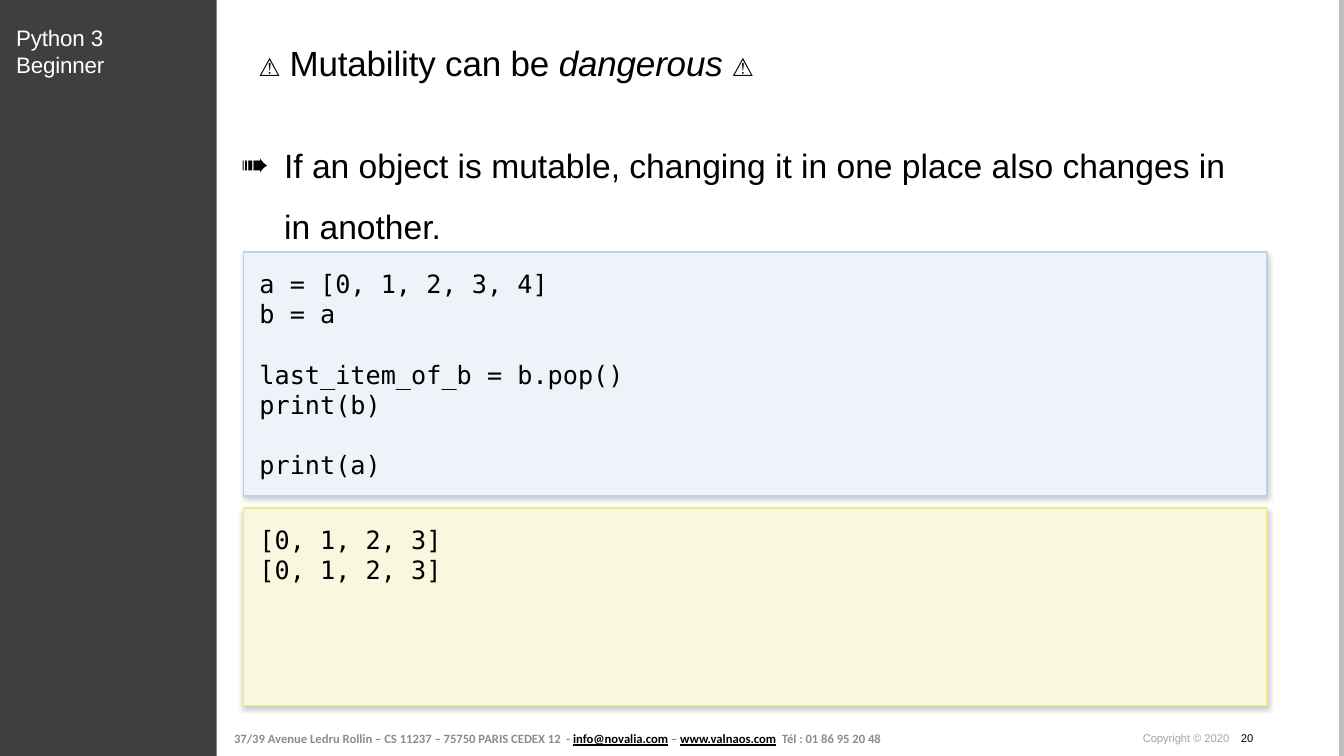
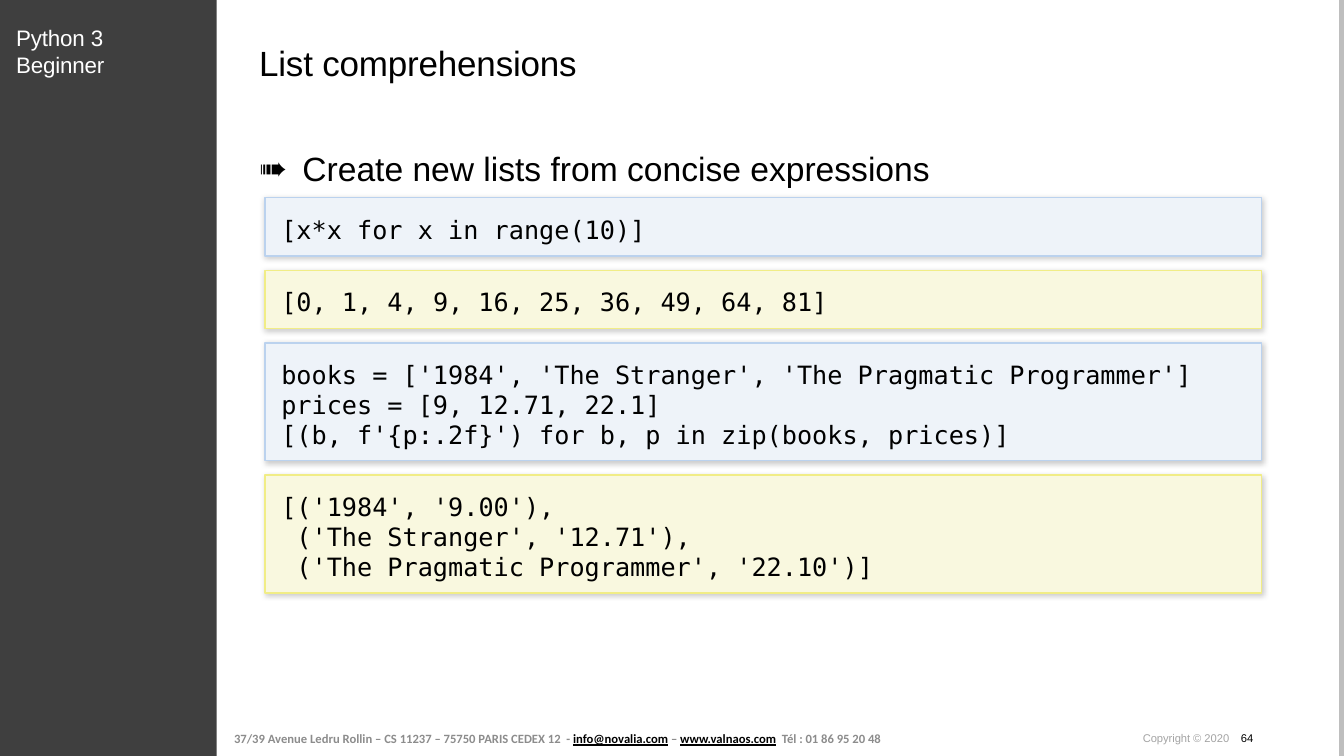
from dataclasses import dataclass

from lxml import etree
from pptx import Presentation
from pptx.dml.color import RGBColor
from pptx.enum.shapes import MSO_CONNECTOR, MSO_SHAPE
from pptx.enum.text import MSO_ANCHOR, MSO_AUTO_SIZE, PP_ALIGN
from pptx.oxml import parse_xml
from pptx.oxml.ns import nsdecls, qn
from pptx.util import Cm, Pt

RECTANGLE = MSO_SHAPE.RECTANGLE
STRAIGHT = MSO_CONNECTOR.STRAIGHT
TOP, MIDDLE = MSO_ANCHOR.TOP, MSO_ANCHOR.MIDDLE
LEFT = PP_ALIGN.LEFT
NO_AUTOFIT = MSO_AUTO_SIZE.NONE

SLIDE_WIDTH, SLIDE_HEIGHT = Cm(33.87), Cm(19.05)
TITLE_AND_CONTENT = 1
FIRST_MASTER_ID = 101


@dataclass(frozen=True)
class Style:
    size: float
    font: str
    color: str
    bold: bool = False
    italic: bool = False
    underline: bool = False
    tracking: int = 0  # hundredths of a point


@dataclass(frozen=True)
class Panel:
    fill: str
    line: str


@dataclass(frozen=True)
class Theme:
    sidebar: str = "3F3F3F"
    edge: str = "BEBEBE"
    course: Style = Style(16, "Arial", "FFFFFF", tracking=-10)
    title: Style = Style(25, "Arial", "000000", tracking=-10)
    emphasis: Style = Style(25, "Arial", "000000", italic=True, tracking=-10)
    symbol: Style = Style(25, "DejaVu Sans Mono", "000000", tracking=-10)
    body: Style = Style(24, "Arial", "000000")
    code: Style = Style(18, "DejaVu Sans Mono", "000000")
    address: Style = Style(9, "Calibri", "8C8C8C", bold=True)
    contact: Style = Style(9, "Calibri", "000000", bold=True, underline=True)
    copyright: Style = Style(8, "Arial", "A4A4A4", tracking=-5)
    number: Style = Style(8, "Arial", "000000")
    source: Panel = Panel("EEF3F9", "BBD2EE")
    output: Panel = Panel("F9F8DF", "F1ED86")


THEME = Theme()


@dataclass(frozen=True)
class Span:
    text: str
    style: Style


@dataclass(frozen=True)
class Box:
    """A rectangle in centimetres."""
    left: float
    top: float
    width: float
    height: float

    def lengths(self) -> tuple:
        return Cm(self.left), Cm(self.top), Cm(self.width), Cm(self.height)


@dataclass(frozen=True)
class CodeBlock:
    panel: Panel
    height: float
    lines: tuple[str, ...]


@dataclass(frozen=True)
class Lesson:
    number: int
    title: tuple[Span, ...]
    point: str
    point_box: Box
    blocks_left: float
    blocks_top: float
    blocks_width: float
    gap: float
    blocks: tuple[CodeBlock, ...]


TITLE_BOX = Box(6.53, 1.04, 25.17, 1.07)
SIDEBAR_BOX = Box(0, 0, 5.46, 19.05)
COURSE_BOX = Box(0.41, 0.61, 4.4, 1.37)
ADDRESS_BOX = Box(5.72, 18.21, 16.97, 0.81)
COPYRIGHT_BOX = Box(28.8, 18.42, 4.35, 0.33)
EDGE_X = 33.81
NUMBER_TAB = 2.47
BULLET_INDENT = 1.09
CODE_INSET = 0.41

ADDRESS = (
    Span("37/39 Avenue Ledru Rollin – CS 11237 – 75750 PARIS CEDEX 12  - ", THEME.address),
    Span("info@novalia.com", THEME.contact),
    Span(" – ", THEME.address),
    Span("www.valnaos.com", THEME.contact),
    Span("  Tél : 01 86 95 20 48", THEME.address),
)

LESSONS = (
    Lesson(
        number=20,
        title=(
            Span("⚠️", THEME.symbol),
            Span(" Mutability can be ", THEME.title),
            Span("dangerous ", THEME.emphasis),
            Span("⚠️", THEME.symbol),
        ),
        point="If an object is mutable, changing it in one place also changes in in another.",
        point_box=Box(6.07, 3.15, 25.43, 2.9),
        blocks_left=6.13, blocks_top=6.35, blocks_width=25.8, gap=0.3,
        blocks=(
            CodeBlock(THEME.source, 6.15, (
                "a = [0, 1, 2, 3, 4]",
                "b = a",
                "",
                "last_item_of_b = b.pop()",
                "print(b)",
                "",
                "print(a)",
            )),
            CodeBlock(THEME.output, 4.98, ("[0, 1, 2, 3]", "[0, 1, 2, 3]")),
        ),
    ),
    Lesson(
        number=64,
        title=(Span("List comprehensions", THEME.title),),
        point="Create new lists from concise expressions",
        point_box=Box(6.53, 3.23, 25.43, 1.37),
        blocks_left=6.68, blocks_top=4.98, blocks_width=25.12, gap=0.36,
        blocks=(
            CodeBlock(THEME.source, 1.47, ("[x*x for x in range(10)]",)),
            CodeBlock(THEME.output, 1.47, ("[0, 1, 4, 9, 16, 25, 36, 49, 64, 81]",)),
            CodeBlock(THEME.source, 2.97, (
                "books = ['1984', 'The Stranger', 'The Pragmatic Programmer']",
                "prices = [9, 12.71, 22.1]",
                "[(b, f'{p:.2f}') for b, p in zip(books, prices)]",
            )),
            CodeBlock(THEME.output, 2.97, (
                "[('1984', '9.00'),",
                " ('The Stranger', '12.71'),",
                " ('The Pragmatic Programmer', '22.10')]",
            )),
        ),
    ),
)


def rgb(color: str) -> RGBColor:
    return RGBColor.from_string(color)


def write(paragraph, *spans: Span) -> None:
    for span in spans:
        run, style = paragraph.add_run(), span.style
        run.text = span.text
        font = run.font
        font.size, font.name = Pt(style.size), style.font
        font.bold, font.italic, font.underline = style.bold, style.italic, style.underline
        font.color.rgb = rgb(style.color)
        if style.tracking:
            run._r.get_or_add_rPr().set("spc", str(style.tracking))


def prepare_frame(shape, inset_x: float = 0, inset_y: float = 0, anchor=TOP):
    """Give the text frame its insets and return its left-aligned first paragraph."""
    frame = shape.text_frame
    frame.word_wrap = True
    frame.auto_size = NO_AUTOFIT
    frame.vertical_anchor = anchor
    frame.margin_left = frame.margin_right = Cm(inset_x)
    frame.margin_top = frame.margin_bottom = Cm(inset_y)
    first = frame.paragraphs[0]
    first.alignment = LEFT
    return first


def place(shape, box: Box) -> None:
    shape.left, shape.top, shape.width, shape.height = box.lengths()


def set_effects(shape, effects: str = "") -> None:
    """Replace the effects of a shape; none are left by default."""
    properties = shape.element.spPr
    for old in properties.findall(qn("a:effectLst")):
        properties.remove(old)
    properties.append(parse_xml(f"<a:effectLst {nsdecls('a')}>{effects}</a:effectLst>"))


def move_frame_to_master(prs, slide) -> None:
    """Build the sidebar, edge, course name and address, and keep them on the master."""
    edge = slide.shapes.add_connector(STRAIGHT, Cm(EDGE_X), 0, Cm(EDGE_X), SLIDE_HEIGHT)
    edge.line.color.rgb = rgb(THEME.edge)
    edge.line.width = Pt(3.34)
    set_effects(edge)

    sidebar = slide.shapes.add_shape(RECTANGLE, *SIDEBAR_BOX.lengths())
    sidebar.shadow.inherit = False
    sidebar.fill.solid()
    sidebar.fill.fore_color.rgb = rgb(THEME.sidebar)
    sidebar.line.fill.background()

    course = slide.shapes.add_textbox(*COURSE_BOX.lengths())
    write(prepare_frame(course), Span("Python 3 Beginner", THEME.course))

    address = slide.shapes.add_textbox(*ADDRESS_BOX.lengths())
    write(prepare_frame(address, 0.18, 0.1, MIDDLE), *ADDRESS)

    master_tree = prs.slide_master.shapes.element
    for shape_id, part in enumerate((edge, sidebar, course, address), FIRST_MASTER_ID):
        part.element.xpath(".//p:cNvPr")[0].set("id", str(shape_id))
        master_tree.append(part.element)


def add_copyright(slide, number: int) -> None:
    notice = slide.shapes.add_textbox(*COPYRIGHT_BOX.lengths())
    paragraph = prepare_frame(notice)
    tabs = etree.SubElement(paragraph._p.get_or_add_pPr(), qn("a:tabLst"))
    etree.SubElement(tabs, qn("a:tab"), pos=str(Cm(NUMBER_TAB)), algn="l")
    write(paragraph, Span("Copyright © 2020\t", THEME.copyright),
          Span(str(number), THEME.number))


def fill_point(placeholder, lesson: Lesson) -> None:
    place(placeholder, lesson.point_box)
    paragraph = prepare_frame(placeholder)
    paragraph.line_spacing = 1.5
    paragraph.space_before = Pt(0)
    properties = paragraph._p.get_or_add_pPr()
    properties.set("marL", str(Cm(BULLET_INDENT)))
    properties.set("indent", str(-Cm(BULLET_INDENT)))
    etree.SubElement(properties, qn("a:buChar"), char="➠")
    write(paragraph, Span(lesson.point, THEME.body))


def add_code_block(slide, block: CodeBlock, box: Box) -> None:
    panel = slide.shapes.add_shape(RECTANGLE, *box.lengths())
    panel.fill.solid()
    panel.fill.fore_color.rgb = rgb(block.panel.fill)
    panel.line.color.rgb = rgb(block.panel.line)
    panel.line.width = Pt(1)
    set_effects(panel, f'<a:outerShdw blurRad="{Pt(4)}" dist="{Pt(1)}" dir="5400000" '
                       'rotWithShape="0"><a:srgbClr val="000000">'
                       '<a:alpha val="20000"/></a:srgbClr></a:outerShdw>')
    paragraph = prepare_frame(panel, CODE_INSET, CODE_INSET)
    for index, line in enumerate(block.lines):
        if index:
            paragraph = panel.text_frame.add_paragraph()
            paragraph.alignment = LEFT
        if line:
            write(paragraph, Span(line, THEME.code))
        else:
            ending = etree.SubElement(paragraph._p, qn("a:endParaRPr"),
                                      sz=str(THEME.code.size * 100))
            etree.SubElement(ending, qn("a:latin"), typeface=THEME.code.font)


def add_lesson(prs, lesson: Lesson):
    slide = prs.slides.add_slide(prs.slide_layouts[TITLE_AND_CONTENT])
    title = slide.shapes.title
    place(title, TITLE_BOX)
    write(prepare_frame(title), *lesson.title)
    fill_point(slide.placeholders[1], lesson)
    add_copyright(slide, lesson.number)
    top = lesson.blocks_top
    for block in lesson.blocks:
        add_code_block(slide, block,
                       Box(lesson.blocks_left, top, lesson.blocks_width, block.height))
        top += block.height + lesson.gap
    return slide


def main() -> None:
    prs = Presentation()
    prs.slide_width, prs.slide_height = SLIDE_WIDTH, SLIDE_HEIGHT
    slides = [add_lesson(prs, lesson) for lesson in LESSONS]
    move_frame_to_master(prs, slides[0])
    prs.save("out.pptx")


if __name__ == "__main__":
    main()
